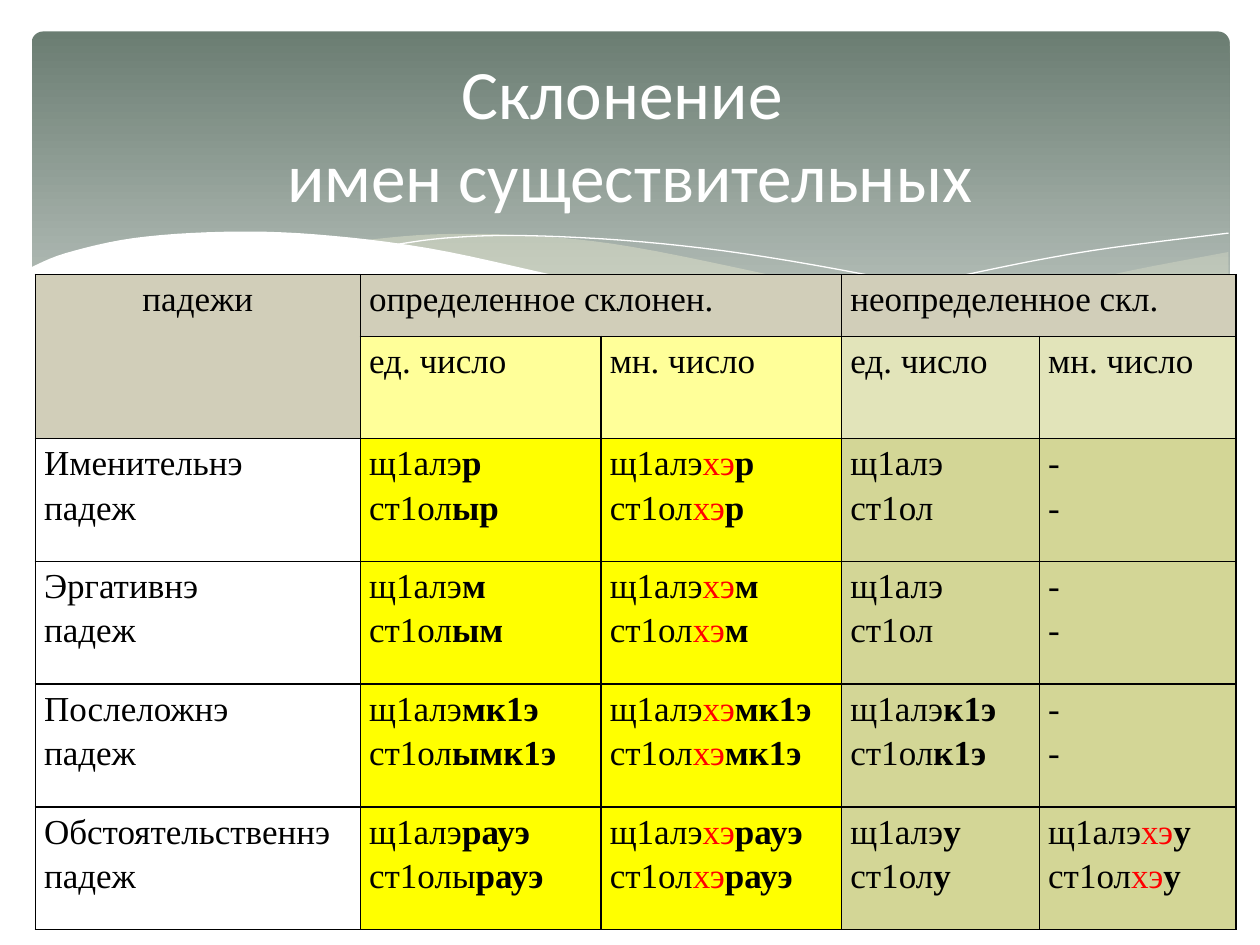
from dataclasses import dataclass
from itertools import chain

from lxml.etree import SubElement
from pptx import Presentation
from pptx.dml.color import RGBColor
from pptx.enum.shapes import MSO_SHAPE
from pptx.enum.text import MSO_ANCHOR, MSO_AUTO_SIZE, PP_ALIGN
from pptx.oxml.ns import qn
from pptx.util import Inches, Pt

COLUMNS, ROWS = 100, 75
CELL = Inches(0.1)


@dataclass(frozen=True)
class Theme:
    heading_font: str = "Calibri"
    table_font: str = "Times New Roman"
    heading_size: float = 39.6
    table_size: float = 20
    white: str = "FFFFFF"
    ink: str = "000000"
    plural: str = "FF0000"
    banner_top: str = "6B7D72"
    banner_bottom: str = "BEC7C2"
    wave: str = "ECEDD1"
    heading_fill: str = "D1CEB9"
    definite_head: str = "FFFF99"
    definite: str = "FFFF00"
    indefinite_head: str = "E2E4BA"
    indefinite: str = "D3D696"


@dataclass(frozen=True)
class Box:
    left: float
    top: float
    width: float
    height: float

    def frame(self):
        return [grid(v) for v in (self.left, self.top, self.width, self.height)]


THEME = Theme()

COLUMN_WIDTHS = (25.8, 19.1, 19.1, 15.7, 15.6)
ROW_HEIGHTS = (4.9, 8.1) + (9.75,) * 4
HEADINGS = (
    ("падежи", "определенное склонен.", "", "неопределенное скл.", ""),
    ("", "ед. число", "мн. число", "ед. число", "мн. число"),
)
# Each word form is stem|plural suffix|case ending, two words per cell.
CASES = (
    ("Именительнэ падеж", "щ1алэ||р ст1ол||ыр", "щ1алэ|хэ|р ст1ол|хэ|р",
     "щ1алэ ст1ол", "- -"),
    ("Эргативнэ падеж", "щ1алэ||м ст1ол||ым", "щ1алэ|хэ|м ст1ол|хэ|м",
     "щ1алэ ст1ол", "- -"),
    ("Послеложнэ падеж", "щ1алэ||мк1э ст1ол||ымк1э",
     "щ1алэ|хэ|мк1э ст1ол|хэ|мк1э", "щ1алэ||к1э ст1ол||к1э", "- -"),
    ("Обстоятельственнэ падеж", "щ1алэ||рауэ ст1олы||рауэ",
     "щ1алэ|хэ|рауэ ст1ол|хэ|рауэ", "щ1алэ||у ст1ол||у",
     "щ1алэ|хэ|у ст1ол|хэ|у"),
)

FAR_WAVE = (
    [(95, 1.5), (88.1, 2.8), (83.6, 3.8), (72.8, 6.3), (63.6, 8)],
    [(63.6, 8), (70.7, 8.9), (77.8, 9.3), (84.7, 8.9), (91, 7.7), (95, 6.2)],
)
MIDDLE_WAVE = (
    [(26.1, 0.6), (31.9, 0.1), (39.5, 0.2), (47.7, 1.1), (60.4, 3.7),
     (71.6, 6.2), (86.8, 8.8)],
    [(86.8, 8.8), (77.1, 9.3), (65.5, 8.3), (54.1, 6.3), (42.4, 3.7),
     (33.7, 1.8), (26.1, 0.6)],
)
LONG_LINE = ([(28.4, 1), (32.8, 0.4), (39.1, 0.2), (48.5, 0.7), (58.3, 1.9),
              (70.2, 4.1), (80.6, 6.6), (88.2, 8.7)],)
SHORT_LINE = ([(58.8, 7.2), (67, 5), (75.1, 3.1), (84.1, 1.4), (95, 0)],)
FRONT_WAVE = (
    [(95.2, 6.1), (89.5, 8), (79.8, 9.2), (68.3, 8.5), (57.8, 6.9),
     (42.2, 3.5), (31.5, 1.2), (22.5, 0.1), (15.2, -0.1), (8.1, 0.4),
     (2.7, 1.6), (-0.2, 2.8)],
    [(-0.2, 14.4), (95.2, 14.4)],
)


def grid(cells):
    return round(cells * CELL)


def rgb(value):
    return RGBColor.from_string(value)


def smooth(points, steps=6):
    padded = [points[0], *points, points[-1]]
    curve = [points[0]]
    for a, b, c, d in zip(padded, padded[1:], padded[2:], padded[3:]):
        for t in (step / steps for step in range(1, steps + 1)):
            curve.append(tuple(
                (2 * q + (r - p) * t + (2 * p - 5 * q + 4 * r - s) * t ** 2
                 + (3 * q - p - 3 * r + s) * t ** 3) / 2
                for p, q, r, s in zip(a, b, c, d)))
    return curve


def add_wave(page, box, curves, fill=None, opacity=100):
    points = [(grid(box.left + x), grid(box.top + y))
              for x, y in chain.from_iterable(map(smooth, curves))]
    builder = page.shapes.build_freeform(*points[0])
    builder.add_line_segments(points[1:], close=fill is not None)
    wave = builder.convert_to_shape()
    wave.shadow.inherit = False
    if fill is None:
        wave.fill.background()
        wave.line.color.rgb = rgb(THEME.white)
        wave.line.width = Pt(0)
        return
    wave.fill.solid()
    wave.fill.fore_color.rgb = rgb(fill)
    wave.line.fill.background()
    color = wave.element.spPr.find(qn("a:solidFill"))[0]
    SubElement(color, qn("a:alpha"), val=str(opacity * 1000))


def add_banner(page, box):
    banner = page.shapes.add_shape(MSO_SHAPE.ROUNDED_RECTANGLE, *box.frame())
    banner.adjustments[0] = 0.034
    banner.shadow.inherit = False
    banner.line.fill.background()
    banner.fill.gradient()
    banner.fill.gradient_angle = 270
    stops = zip(banner.fill.gradient_stops, (0, 0.9),
                (THEME.banner_top, THEME.banner_bottom))
    for stop, position, color in stops:
        stop.position = position
        stop.color.rgb = rgb(color)

    waves = Box(box.left, box.top + 16, box.width, box.height)
    add_wave(page, waves, FAR_WAVE, THEME.wave, 29)
    add_wave(page, waves, MIDDLE_WAVE, THEME.wave, 40)
    add_wave(page, waves, LONG_LINE)
    add_wave(page, waves, SHORT_LINE)
    add_wave(page, waves, FRONT_WAVE, THEME.white)


def add_title(page, box):
    title = page.shapes.title
    title.left, title.top, title.width, title.height = box.frame()
    page.shapes.element.append(title.element)
    frame = title.text_frame
    frame.text = "Склонение \vимен существительных"
    frame.word_wrap = True
    frame.auto_size = MSO_AUTO_SIZE.NONE
    frame.vertical_anchor = MSO_ANCHOR.MIDDLE
    para = frame.paragraphs[0]
    para.alignment = PP_ALIGN.CENTER
    para.font.name = THEME.heading_font
    para.font.size = Pt(THEME.heading_size)
    para.font.color.rgb = rgb(THEME.white)


def cell_fill(row, column):
    if column == 0:
        return THEME.heading_fill if row < 2 else None
    if row == 0:
        return THEME.heading_fill
    if column < 3:
        return THEME.definite_head if row == 1 else THEME.definite
    return THEME.indefinite_head if row == 1 else THEME.indefinite


def format_cell(cell, fill):
    cell.margin_left = cell.margin_right = Inches(0.07)
    cell.margin_top = cell.margin_bottom = 0
    properties = cell._tc.get_or_add_tcPr()
    for side in ("lnL", "lnR", "lnT", "lnB"):
        border = SubElement(properties, qn(f"a:{side}"), w=str(Pt(1)))
        paint = SubElement(border, qn("a:solidFill"))
        SubElement(paint, qn("a:srgbClr"), val=THEME.ink)
    if fill:
        cell.fill.solid()
        cell.fill.fore_color.rgb = rgb(fill)
    else:
        cell.fill.background()


def write_cell(cell, lines, alignment):
    frame = cell.text_frame
    for index, line in enumerate(lines):
        para = frame.add_paragraph() if index else frame.paragraphs[0]
        para.alignment = alignment
        para.line_spacing = 1.15
        para.font.name = THEME.table_font
        para.font.size = Pt(THEME.table_size)
        para.font.color.rgb = rgb(THEME.ink)
        for part, text in enumerate(line.split("|")):
            if text:
                span = para.add_run()
                span.text = text
                if part == 1:
                    span.font.color.rgb = rgb(THEME.plural)
                if part == 2:
                    span.font.bold = True


def add_declension_table(page, box):
    table = page.shapes.add_table(
        len(ROW_HEIGHTS), len(COLUMN_WIDTHS), *box.frame()).table
    table.first_row = table.horz_banding = False
    for column, width in zip(table.columns, COLUMN_WIDTHS):
        column.width = grid(width * box.width / sum(COLUMN_WIDTHS))
    for row, height in zip(table.rows, ROW_HEIGHTS):
        row.height = grid(height * box.height / sum(ROW_HEIGHTS))
    for r, texts in enumerate(HEADINGS + CASES):
        for c, text in enumerate(texts):
            cell = table.cell(r, c)
            format_cell(cell, cell_fill(r, c))
            if text:
                lines = [text] if r < len(HEADINGS) else text.split()
                centred = r == c == 0
                write_cell(cell, lines, PP_ALIGN.CENTER if centred else PP_ALIGN.JUSTIFY)
    for first, last in (((0, 0), (1, 0)), ((0, 1), (0, 2)), ((0, 3), (0, 4))):
        table.cell(*first).merge(table.cell(*last))


def main():
    deck = Presentation()
    deck.slide_width, deck.slide_height = grid(COLUMNS), grid(ROWS)
    page = deck.slides.add_slide(deck.slide_layouts.get_by_name("Title Only"))
    add_banner(page, Box(2.5, 2.5, 95.1, 27))
    add_declension_table(page, Box(2.8, 21.8, 95.3, 52))
    add_title(page, Box(5, 3.7, 90, 13.7))
    deck.save("out.pptx")


if __name__ == "__main__":
    main()
